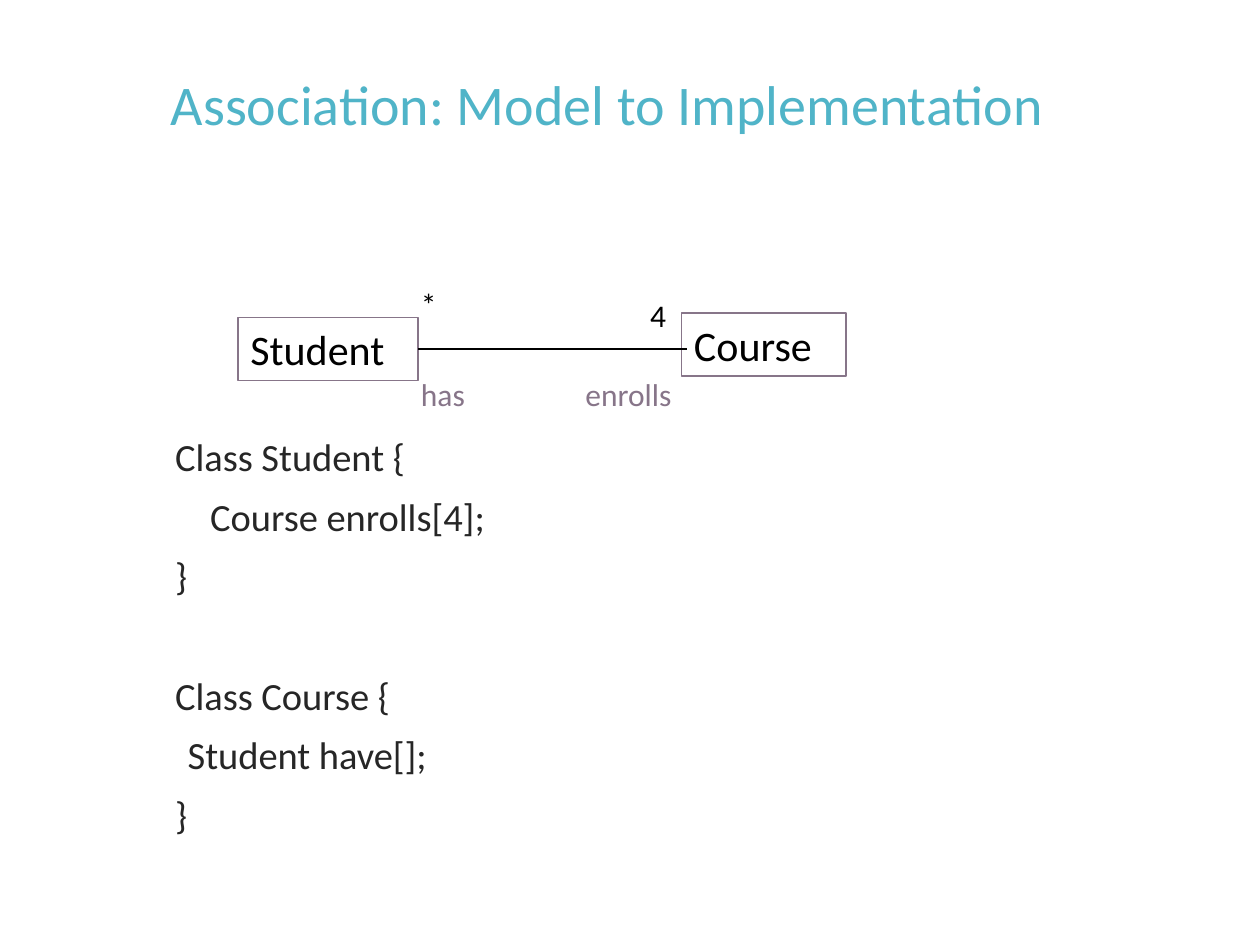
from lxml import etree
from pptx import Presentation
from pptx.dml.color import RGBColor
from pptx.enum.shapes import MSO_CONNECTOR, MSO_SHAPE
from pptx.enum.text import MSO_ANCHOR, PP_ALIGN
from pptx.oxml.ns import qn
from pptx.util import Pt

RECTANGLE = MSO_SHAPE.RECTANGLE
STRAIGHT = MSO_CONNECTOR.STRAIGHT
TOP, MIDDLE = MSO_ANCHOR.TOP, MSO_ANCHOR.MIDDLE
LEFT = PP_ALIGN.LEFT
RIGHT_SIDE = 3

FONT = "Calibri"
TEAL, MAUVE, BLACK, CHARCOAL = "50B4C8", "877589", "000000", "262626"
LINE_GAP, CLASS_GAP = 13, 47


def color(hex_code):
    return RGBColor.from_string(hex_code)


def write(paragraph, words, size, hex_code):
    paragraph.alignment = LEFT
    run = paragraph.add_run()
    run.text = words
    run.font.name = FONT
    run.font.size = Pt(size)
    run.font.color.rgb = color(hex_code)


def prepare_frame(shape, anchor, wrap):
    frame = shape.text_frame
    frame.word_wrap = wrap
    frame.vertical_anchor = anchor
    frame.margin_left = frame.margin_right = Pt(7.2)
    frame.margin_top = frame.margin_bottom = Pt(3.6)
    return frame


def add_label(slide, box, words, size, hex_code, anchor=TOP, wrap=False):
    label = slide.shapes.add_textbox(*map(Pt, box))
    paragraph = prepare_frame(label, anchor, wrap).paragraphs[0]
    write(paragraph, words, size, hex_code)
    return paragraph


def add_title(slide, box):
    paragraph = add_label(slide, box, "Association: Model to Implementation",
                          32, TEAL, MIDDLE, True)
    paragraph.line_spacing = 0.9


def add_class_box(slide, box, name):
    class_box = slide.shapes.add_shape(RECTANGLE, *map(Pt, box))
    class_box.shadow.inherit = False
    class_box.fill.background()
    class_box.line.color.rgb = color(MAUVE)
    class_box.line.width = Pt(1)
    write(prepare_frame(class_box, TOP, False).paragraphs[0], name, 24, BLACK)
    return class_box


def add_association(slide, box):
    left, top, width, height = box
    student = add_class_box(slide, (left, top + 22, 103, 36), "Student")
    add_class_box(slide, (left + width - 94, top + 19.5, 94, 36), "Course")

    axis = top + 40
    association = slide.shapes.add_connector(
        STRAIGHT, Pt(left + 103), Pt(axis), Pt(left + 256.5), Pt(axis))
    association.begin_connect(student, RIGHT_SIDE)
    association.line.color.rgb = color(BLACK)
    association.line.width = Pt(0.75)
    etree.SubElement(association._element.spPr, qn("a:effectLst"))

    role_top = top + height - 29
    for words, x, y, label_width, hex_code in (
        ("enrolls", 191.5, role_top, 72, MAUVE),
        ("has", 97.5, role_top, 44, MAUVE),
        ("*", 97.5, top, 22, BLACK),
        ("4", 228.5, top + 6, 24.5, BLACK),
    ):
        add_label(slide, (left + x, y, label_width, 29), words, 18, hex_code)


def add_code(slide, box):
    listing = slide.shapes.add_textbox(*map(Pt, box))
    frame = prepare_frame(listing, TOP, True)
    code_lines = (
        ("Class Student {", 0, 0),
        ("Course enrolls[4];", 20, LINE_GAP),
        ("}", 0, LINE_GAP),
        ("Class Course {", 0, CLASS_GAP),
        ("Student have[];", 7.2, LINE_GAP),
        ("}", 0, LINE_GAP),
    )
    for index, (words, indent, gap) in enumerate(code_lines):
        paragraph = frame.add_paragraph() if index else frame.paragraphs[0]
        paragraph.line_spacing = 0.8
        paragraph.space_before = Pt(gap)
        paragraph._p.get_or_add_pPr().set("marL", str(Pt(indent)))
        write(paragraph, words, 22, CHARCOAL)


def main():
    deck = Presentation()
    deck.slide_width, deck.slide_height = Pt(720), Pt(540)
    slide = deck.slides.add_slide(deck.slide_layouts[6])
    add_title(slide, (90.5, 16.5, 613.5, 89.5))
    add_code(slide, (93, 249, 606, 234))
    add_association(slide, (136, 159.5, 347.5, 80.5))
    deck.save("out.pptx")


if __name__ == "__main__":
    main()
